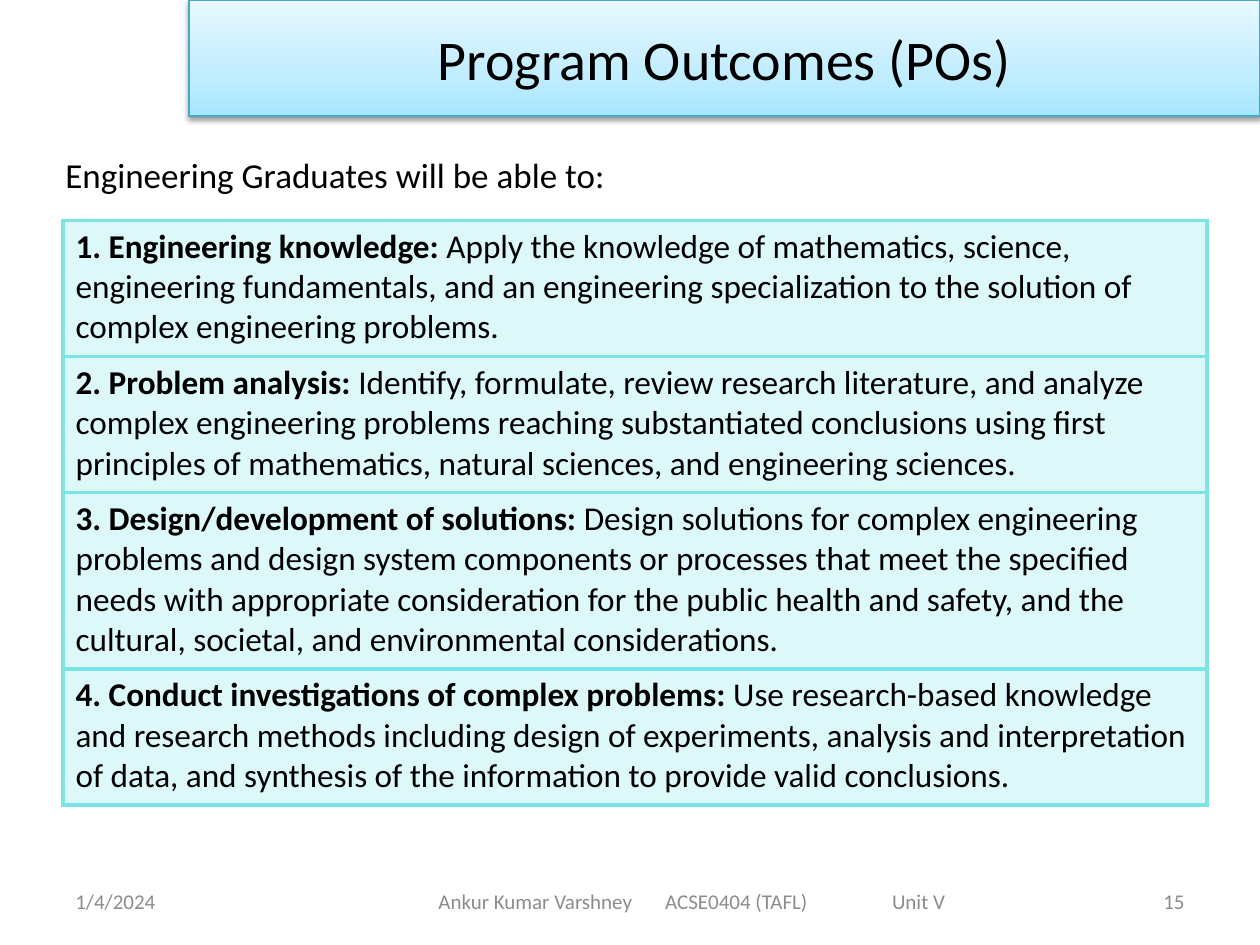
import copy

import pptx
import pptx.dml.color
import pptx.enum.shapes
import pptx.enum.text
import pptx.oxml
import pptx.oxml.ns
import pptx.util
from pptx.util import Inches

ALIGN = pptx.enum.text.PP_ALIGN
ANCHOR = pptx.enum.text.MSO_ANCHOR
NS = pptx.oxml.ns.nsdecls("a")
qn = pptx.oxml.ns.qn

OUTCOMES = [
    ("1. Engineering knowledge: ",
     "Apply the knowledge of mathematics, science, engineering fundamentals, and an "
     "engineering specialization to the solution of complex engineering problems.", 1.08),
    ("2. Problem analysis:",
     " Identify, formulate, review research literature, and analyze complex engineering "
     "problems reaching substantiated conclusions using first principles of mathematics, "
     "natural sciences, and engineering sciences.", 1.08),
    ("3. Design/development of solutions:",
     " Design solutions for complex engineering problems and design system components or "
     "processes that meet the specified needs with appropriate consideration for the public "
     "health and safety, and the cultural, societal, and environmental considerations.", 1.4),
    ("4. Conduct investigations of complex problems: ",
     "Use research-based knowledge and research methods including design of experiments, "
     "analysis and interpretation of data, and synthesis of the information to provide valid "
     "conclusions.", 1.08),
]


def rgb(value):
    return pptx.dml.color.RGBColor.from_string(value)


def xml(text):
    return pptx.oxml.parse_xml(text)


class Deck:
    font = "Calibri"
    ink = "000000"
    muted = "8C8C8C"
    accent = "7BE5E5"
    border = 2.25

    def __init__(self, prs):
        self.s = prs.slides.add_slide(prs.slide_layouts[6])

    def run(self, p, text, size, color=ink, bold=False):
        r = p.add_run()
        r.text = text
        fmt = {"name": self.font, "size": pptx.util.Pt(size), "bold": bold}
        for key, value in fmt.items():
            setattr(r.font, key, value)
        r.font.color.rgb = rgb(color)

    def text(self, box, text, size, color=ink, align=ALIGN.LEFT, tabs=(), **frame):
        tf = self.s.shapes.add_textbox(*map(Inches, box)).text_frame
        for key, value in ({"word_wrap": True} | frame).items():
            setattr(tf, key, value)
        p = tf.paragraphs[0]
        p.alignment = align
        if tabs:
            stops = "".join(f'<a:tab pos="{Inches(t)}" algn="l"/>' for t in tabs)
            p._p.get_or_add_pPr().append(xml(f"<a:tabLst {NS}>{stops}</a:tabLst>"))
        self.run(p, text, size, color)

    def banner(self, box, text, size, stops, line):
        sp = self.s.shapes.add_shape(
            pptx.enum.shapes.MSO_SHAPE.RECTANGLE, *map(Inches, box))
        sp.shadow.inherit = False
        sp.fill.gradient()
        sp.fill.gradient_angle = 90
        gs = sp._element.spPr.find(".//" + qn("a:gsLst"))
        gs.insert(1, copy.deepcopy(gs[0]))
        for stop, (position, color) in zip(sp.fill.gradient_stops, stops):
            stop.position = position
            stop.color.rgb = rgb(color)
        sp.line.color.rgb = rgb(line)
        sp.line.width = pptx.util.Pt(0.75)
        sp._element.spPr.find(qn("a:effectLst")).append(xml(
            f'<a:outerShdw {NS} blurRad="{pptx.util.Pt(3.1)}" dist="{pptx.util.Pt(1.6)}" '
            'dir="5400000" rotWithShape="0"><a:srgbClr val="000000">'
            '<a:alpha val="38000"/></a:srgbClr></a:outerShdw>'))
        tf = sp.text_frame
        tf.vertical_anchor = ANCHOR.MIDDLE
        p = tf.paragraphs[0]
        p.alignment = ALIGN.CENTER
        self.run(p, text, size)

    def style_cell(self, cell):
        tcPr = cell._tc.get_or_add_tcPr()
        for side in ("lnL", "lnR", "lnT", "lnB"):
            tcPr.append(xml(
                f'<a:{side} {NS} w="{pptx.util.Pt(self.border)}"><a:solidFill>'
                f'<a:srgbClr val="{self.accent}"/></a:solidFill></a:{side}>'))
        cell.fill.solid()
        cell.fill.fore_color.rgb = rgb(self.accent)
        color = tcPr.find(qn("a:solidFill") + "/" + qn("a:srgbClr"))
        color.append(xml(f'<a:alpha {NS} val="25000"/>'))

    def table(self, left, top, width, rows, size):
        height = sum(row[2] for row in rows)
        frame = self.s.shapes.add_table(
            len(rows), 1, *map(Inches, (left, top, width, height)))
        tbl = frame.table
        tbl.first_row = tbl.horz_banding = False
        for i, (heading, body, row_height) in enumerate(rows):
            tbl.rows[i].height = Inches(row_height)
            cell = tbl.cell(i, 0)
            self.style_cell(cell)
            p = cell.text_frame.paragraphs[0]
            self.run(p, heading, size, bold=True)
            self.run(p, body, size)

    def footer(self, left, width, text, **options):
        self.text((left, 6.95, width, 0.4), text, 12, self.muted,
                  vertical_anchor=ANCHOR.MIDDLE, **options)


def main():
    prs = pptx.Presentation()
    prs.slide_width, prs.slide_height = Inches(10), Inches(7.5)
    deck = Deck(prs)
    deck.text((0.42, 1.17, 4.52, 0.44), "Engineering Graduates will be able to:", 20,
              word_wrap=False)
    deck.table(0.5, 1.75, 9.08, OUTCOMES, 19)
    deck.banner((1.5, 0, 8.5, 0.92), "Program Outcomes (POs)", 32,
                [(0, "A7E6FF"), (0.35, "C1EDFF"), (1, "E7F8FF")], "46AAC5")
    deck.footer(0.5, 2.33, "1/4/2024")
    deck.footer(2.75, 5.5, "Ankur Kumar Varshney\tACSE0404 (TAFL)\tUnit V",
                tabs=(1.8, 3.6), margin_left=Inches(0.73))
    deck.footer(7.17, 2.33, "15", align=ALIGN.RIGHT)
    prs.save("out.pptx")


if __name__ == "__main__":
    main()
